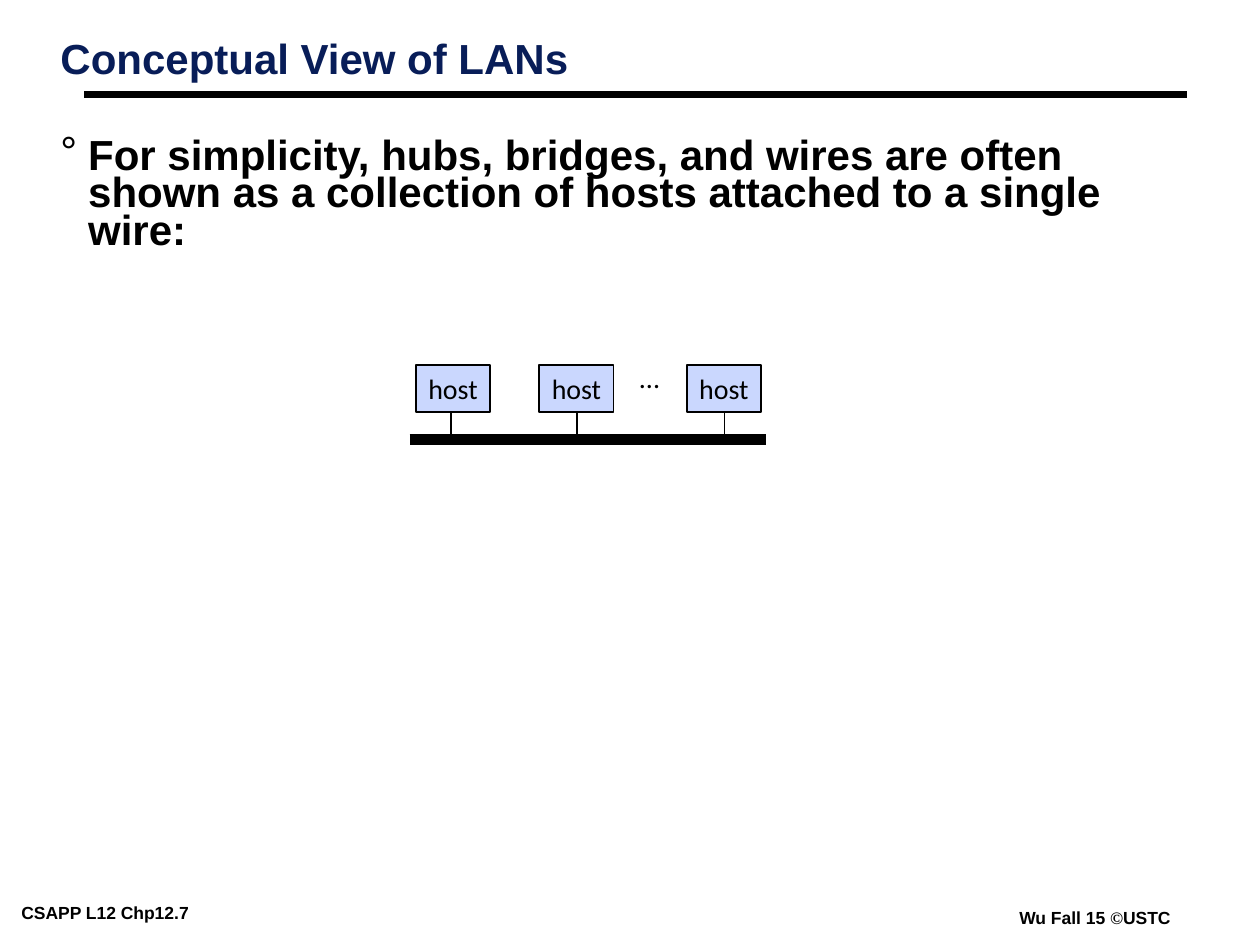
"""Build the slide on the conceptual view of LANs."""
from lxml import etree
from pptx import Presentation, util as u
from pptx.dml.color import RGBColor
from pptx.enum import shapes, text
from pptx.oxml import ns

COLORS = {"black": "000000", "navy": "081D58", "host": "CAD7FE"}

presentation = Presentation()
presentation.slide_width, presentation.slide_height = u.Inches(10), u.Inches(7.5)
slide = presentation.slides.add_slide(presentation.slide_layouts[6])
COLUMN = presentation.slide_width / 100
ROW = presentation.slide_height / 75


def write(shape, runs, size, color="black", bold=True, margins=(0.07, 0.03), wrap=True):
    frame = shape.text_frame
    frame.word_wrap = wrap
    frame.margin_left = frame.margin_right = u.Inches(margins[0])
    frame.margin_top = frame.margin_bottom = u.Inches(margins[1])
    paragraph = frame.paragraphs[0]
    for words, font_name in runs:
        run = paragraph.add_run()
        run.text = words
        run.font.name = font_name
        run.font.size = u.Pt(size)
        run.font.bold = bold
        run.font.color.rgb = RGBColor.from_string(COLORS[color])
    return paragraph


def draw_line(left, top, right, bottom, width):
    line = slide.shapes.add_connector(
        shapes.MSO_CONNECTOR.STRAIGHT,
        round(left * COLUMN), round(top * ROW), round(right * COLUMN), round(bottom * ROW))
    line.line.color.rgb = RGBColor.from_string(COLORS["black"])
    line.line.width = u.Pt(width)
    etree.SubElement(line._element.spPr, ns.qn("a:effectLst"))


text_blocks = [
    ((1, 71.3, 21, 2.2), [("CSAPP L12 Chp12.7", "Arial")], 10, "black", None),
    ((80.2, 71.7, 14.8, 2.2),
     [("Wu Fall 15 ", "Arial"), ("©", "Times New Roman"), ("USTC", "Arial")], 10, "black", None),
    ((4.1, 2.8, 76.8, 6.3), [("Conceptual View of LANs", "Arial")], 24, "navy", 0.87),
    ((4.1, 10.8, 90.9, 9.6),
     [("For simplicity, hubs, bridges, and wires are often shown as a collection "
       "of hosts attached to a single wire:", "Arial")], 24, "black", 0.75),
]
for (left, top, width, height), runs, size, color, spacing in text_blocks:
    box = slide.shapes.add_textbox(
        round(left * COLUMN), round(top * ROW), round(width * COLUMN), round(height * ROW))
    paragraph = write(box, runs, size, color)
    if spacing:
        paragraph.line_spacing = spacing

properties = paragraph._p.get_or_add_pPr()
properties.set("marL", str(u.Inches(0.22)))
properties.set("indent", str(-u.Inches(0.22)))
bullet_color = etree.SubElement(properties, ns.qn("a:buClr"))
etree.SubElement(bullet_color, ns.qn("a:srgbClr"), val=COLORS["black"])
etree.SubElement(properties, ns.qn("a:buFont"), typeface="Arial")
etree.SubElement(properties, ns.qn("a:buChar"), char="°")

draw_line(6.7, 7.5, 94.2, 7.5, 4.5)
draw_line(32.5, 34.9, 60.8, 34.9, 6)

for host_left, drop in [(33, 35.8), (42.8, 45.8), (54.5, 57.5)]:
    draw_line(drop, 31.6, drop, 34.9, 1)
    host = slide.shapes.add_shape(
        shapes.MSO_SHAPE.RECTANGLE,
        round(host_left * COLUMN), round(29 * ROW), round(5.9 * COLUMN), round(3.7 * ROW))
    host.shadow.inherit = False
    host.fill.solid()
    host.fill.fore_color.rgb = RGBColor.from_string(COLORS["host"])
    host.line.color.rgb = RGBColor.from_string(COLORS["black"])
    host.line.width = u.Pt(1)
    host.text_frame.vertical_anchor = text.MSO_ANCHOR.MIDDLE
    label = write(host, [("host", "Calibri")], 16, bold=False, margins=(0.1, 0.05), wrap=False)
    label.alignment = text.PP_ALIGN.CENTER

ellipsis = slide.shapes.add_textbox(
    round(49.7 * COLUMN), round(28.1 * ROW), round(3.7 * COLUMN), round(3.7 * ROW))
ellipsis.text_frame.vertical_anchor = text.MSO_ANCHOR.MIDDLE
dots = write(ellipsis, [("...", "Calibri")], 16, bold=False, margins=(0.1, 0.05), wrap=False)
dots.alignment = text.PP_ALIGN.CENTER

presentation.save("out.pptx")
